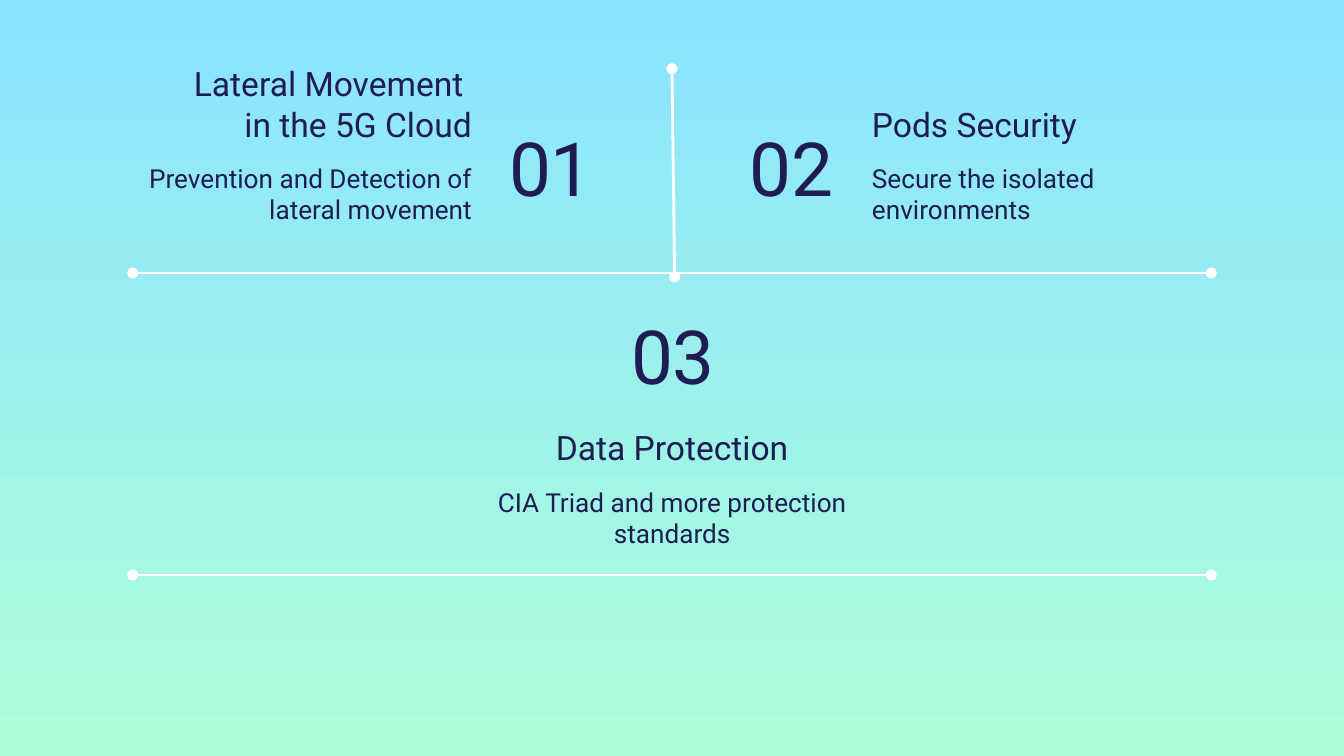
from lxml.etree import SubElement
from pptx import Presentation
from pptx.dml.color import RGBColor
from pptx.enum.shapes import MSO_CONNECTOR
from pptx.enum.text import MSO_ANCHOR, MSO_AUTO_SIZE, PP_ALIGN
from pptx.oxml.ns import qn
from pptx.util import Cm, Pt

FONT = "Roboto"
NAVY = "1F1C51"
WHITE = "FFFFFF"
SKY = "8BE3FF"
MINT = "ACFFD9"
INSET = Cm(0.25)

LEFT, CENTER, RIGHT = PP_ALIGN.LEFT, PP_ALIGN.CENTER, PP_ALIGN.RIGHT


def colour(hex_value):
    return RGBColor.from_string(hex_value)


def paint_background(page):
    fill = page.background.fill
    fill.gradient()
    fill.gradient_angle = 270
    for stop, shade in zip(fill.gradient_stops, (SKY, MINT)):
        stop.color.rgb = colour(shade)


def write_text(box, place, lines, size, align, anchor):
    """Place a text shape and fill it, one paragraph per line."""
    box.left, box.top, box.width, box.height = (Cm(value) for value in place)
    frame = box.text_frame
    frame.word_wrap = True
    frame.auto_size = MSO_AUTO_SIZE.NONE
    frame.vertical_anchor = anchor
    frame.margin_left = frame.margin_right = INSET
    frame.margin_top = frame.margin_bottom = INSET
    for index, line in enumerate(lines):
        para = frame.paragraphs[0] if index == 0 else frame.add_paragraph()
        para.alignment = align
        span = para.add_run()
        span.text = line
        span.font.name = FONT
        span.font.size = Pt(size)
        span.font.color.rgb = colour(NAVY)


def add_text(page, *details):
    write_text(page.shapes.add_textbox(0, 0, 0, 0), *details)


def add_number(box, number, left, top, align):
    write_text(box, (left, top, 3.3, 2.18), [number], 40, align,
               MSO_ANCHOR.MIDDLE)


def add_topic(page, heading, heading_place, detail, detail_left, detail_top, align):
    """Add a heading with its description below."""
    add_text(page, heading_place, heading, 18, align, MSO_ANCHOR.BOTTOM)
    add_text(page, (detail_left, detail_top, 7.57, 1.75), [detail], 14, align,
             MSO_ANCHOR.TOP)


def add_divider(page, *ends):
    """Add a white line with a dot at each end."""
    divider = page.shapes.add_connector(
        MSO_CONNECTOR.STRAIGHT, *(Cm(value) for value in ends))
    divider.line.color.rgb = colour(WHITE)
    divider.line.width = Pt(1.5)
    outline = divider.line._get_or_add_ln()
    for tag in ("a:headEnd", "a:tailEnd"):
        SubElement(outline, qn(tag), type="oval", w="med", len="med")
    SubElement(divider._element.spPr, qn("a:effectLst"))


def main():
    deck = Presentation()
    deck.slide_width, deck.slide_height = Cm(25.4), Cm(14.29)
    page = deck.slides.add_slide(deck.slide_layouts[5])
    paint_background(page)

    # Dividers
    add_divider(page, 12.7, 1.3, 12.75, 5.23)
    for height in (5.16, 10.87):
        add_divider(page, 2.51, height, 22.89, height)

    # Numbers, the first one in the title placeholder
    add_number(page.shapes.title, "01", 9.37, 2.06, LEFT)
    for number, left, top, align in (("02", 12.7, 2.06, RIGHT),
                                     ("03", 11.07, 5.61, CENTER)):
        add_number(page.shapes.add_textbox(0, 0, 0, 0), number, left, top, align)

    # Topics
    add_topic(page, ["Lateral Movement ", "in the 5G Cloud"],
              (0, 0.43, 9.17, 2.54),
              "Prevention and Detection of lateral movement", 1.6, 2.82, RIGHT)
    add_topic(page, ["Pods Security"], (16.23, 1.7, 7.57, 1.27),
              "Secure the isolated environments", 16.23, 2.82, LEFT)
    add_topic(page, ["Data Protection"], (8.92, 7.82, 7.57, 1.27),
              "CIA Triad and more protection standards", 8.92, 8.94, CENTER)

    deck.save("out.pptx")


if __name__ == "__main__":
    main()
